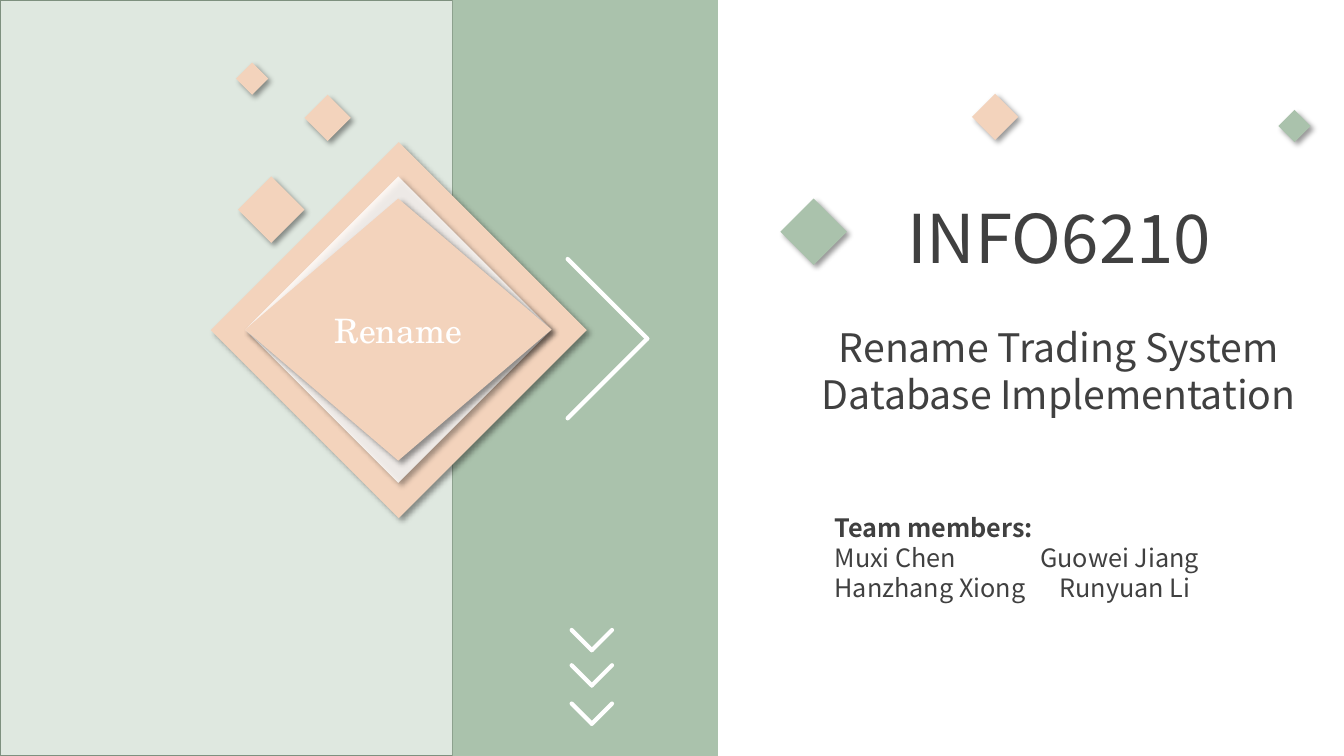
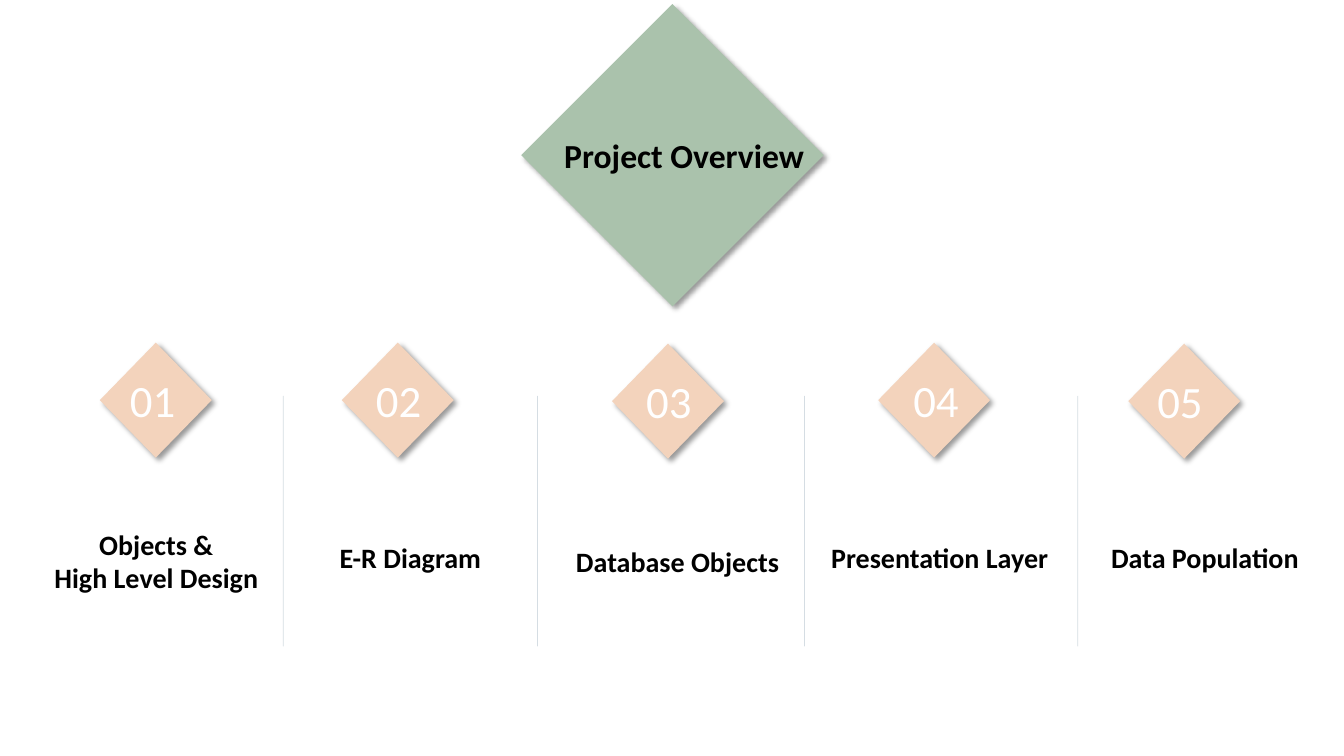
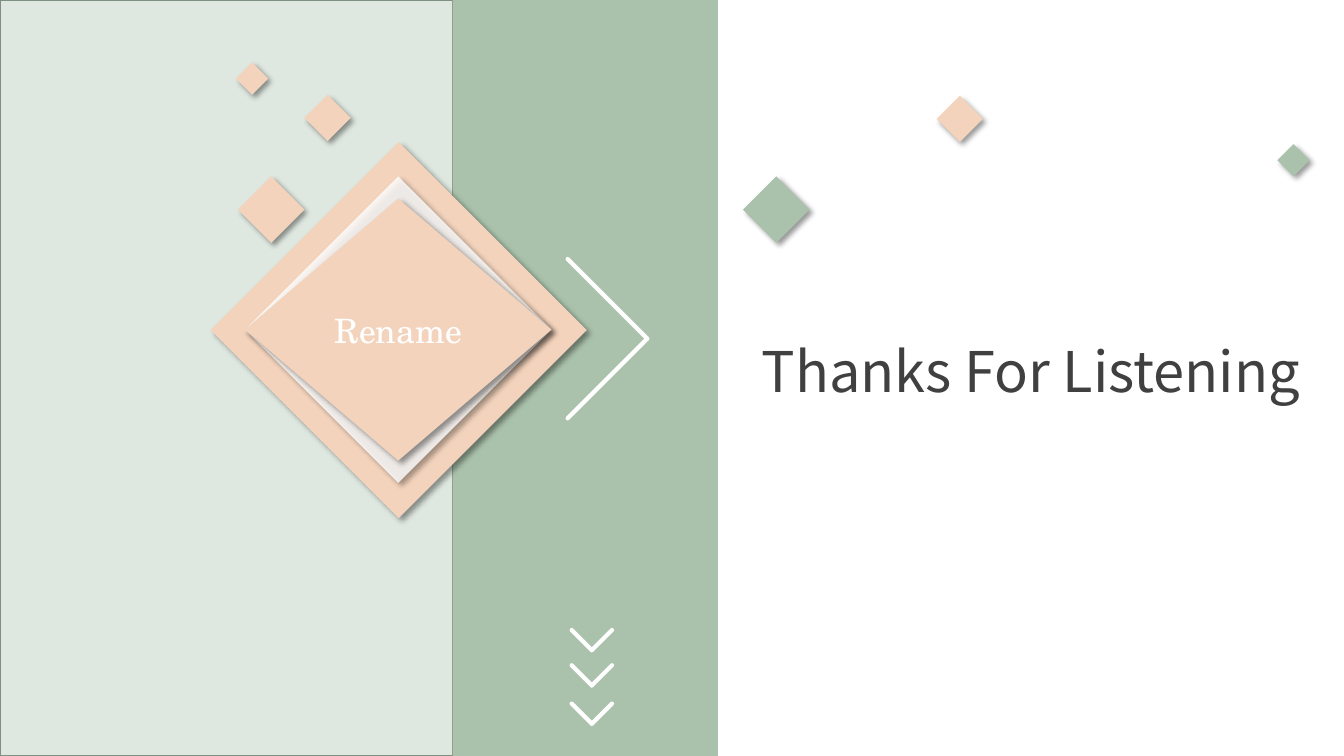
from dataclasses import dataclass

from lxml.etree import SubElement
from pptx import Presentation
from pptx.dml.color import RGBColor
from pptx.enum.shapes import MSO_CONNECTOR, MSO_SHAPE
from pptx.enum.text import MSO_ANCHOR, PP_ALIGN
from pptx.oxml.ns import qn
from pptx.util import Emu, Pt

EMU_PER_PX = 9144  # 100 px to the inch


@dataclass(frozen=True)
class Theme:
    sage: str = "AAC2AC"
    sage_edge: str = "7E907F"
    peach: str = "F3D3BC"
    white: str = "FFFFFF"
    ink: str = "404040"
    black: str = "000000"
    navy: str = "093759"
    sans: str = "Noto Sans CJK SC"
    serif: str = "TeX Gyre Schola"
    body: str = "Calibri"
    course: int = 48
    closing: int = 40
    number: int = 32
    subtitle: int = 28
    heading: int = 24
    caption: int = 20
    small: int = 18


THEME = Theme()


def px(length):
    return Emu(round(length * EMU_PER_PX))


def set_alpha(parent, percent):
    """Make the solid colour inside an XML element see-through."""
    color = next(parent.iter(qn("a:srgbClr")))
    SubElement(color, qn("a:alpha"), val=str(percent * 1000))


def write(frame, text, *, size, color, font=THEME.body, bold=False,
          align=PP_ALIGN.LEFT, leading=None, tab=None):
    """Add each line of text as a paragraph; leading is a multiple of size."""
    for line in text.split("\n"):
        para = frame.paragraphs[0]
        if para.runs:
            para = frame.add_paragraph()
        para.alignment = align
        if leading:
            para.line_spacing = Pt(round(size * leading, 1))
        if tab:
            stops = SubElement(para._p.get_or_add_pPr(), qn("a:tabLst"))
            SubElement(stops, qn("a:tab"), pos=str(px(tab)), algn="l")
        span = para.add_run()
        span.text = line
        span.font.name = font
        span.font.size = Pt(size)
        span.font.bold = bold
        span.font.color.rgb = RGBColor.from_string(color)


class DeckBuilder:
    def __init__(self, theme):
        self.theme = theme
        self.deck = Presentation()
        self.deck.slide_width, self.deck.slide_height = px(1333), px(750)
        self.page = None

    def new_page(self):
        self.page = self.deck.slides.add_slide(self.deck.slide_layouts[6])

    def shape(self, preset, left, top, width, height, fill, *, alpha=None, edge=None):
        shape = self.page.shapes.add_shape(
            preset, px(left), px(top), px(width), px(height))
        shape.shadow.inherit = False
        shape.fill.solid()
        shape.fill.fore_color.rgb = RGBColor.from_string(fill)
        if alpha:
            set_alpha(shape._element.spPr.find(qn("a:solidFill")), alpha)
        if edge:
            shape.line.color.rgb = RGBColor.from_string(edge)
            shape.line.width = Pt(1)
        else:
            shape.line.fill.background()
        return shape

    def diamond(self, left, top, width, height, fill, *, alpha=None):
        """Draw a diamond with the soft lower-right shadow of the deck."""
        diamond = self.shape(MSO_SHAPE.DIAMOND, left, top, width, height, fill, alpha=alpha)
        effects = diamond._element.spPr.find(qn("a:effectLst"))
        shadow = SubElement(effects, qn("a:outerShdw"), blurRad=str(Pt(4)), dist=str(Pt(3)),
                            dir="2700000", algn="tl", rotWithShape="0")
        SubElement(shadow, qn("a:srgbClr"), val=self.theme.black)
        set_alpha(shadow, 40)
        return diamond

    def line(self, start, end, color, width, *, alpha=None):
        line = self.page.shapes.add_connector(
            MSO_CONNECTOR.STRAIGHT, *(px(value) for value in (*start, *end)))
        line.line.color.rgb = RGBColor.from_string(color)
        line.line.width = Pt(width)
        properties = line._element.spPr
        outline = properties.find(qn("a:ln"))
        outline.set("cap", "rnd")
        if alpha:
            set_alpha(outline, alpha)
        SubElement(properties, qn("a:effectLst"))

    def chevron(self, start, tip, end):
        for outer in (start, end):
            self.line(outer, tip, self.theme.white, 3)

    def text(self, left, top, width, height, text, **style):
        box = self.page.shapes.add_textbox(px(left), px(top), px(width), px(height))
        box.text_frame.word_wrap = True
        write(box.text_frame, text, **style)
        return box.text_frame

    def cover_panel(self):
        """Draw the green left half shared by the first and last slides."""
        theme = self.theme
        self.shape(MSO_SHAPE.RECTANGLE, 0, 0, 449, 750, theme.sage,
                   alpha=37, edge=theme.sage_edge)
        self.shape(MSO_SHAPE.RECTANGLE, 449, 0, 263, 750, theme.sage)
        self.diamond(209, 141, 373, 373, theme.peach)
        self.diamond(243, 175, 304, 304, theme.white, alpha=81)
        badge = self.diamond(243, 197, 304, 260, theme.peach).text_frame
        badge.vertical_anchor = MSO_ANCHOR.MIDDLE
        write(badge, "Rename", size=theme.heading, color=theme.white,
              font=theme.serif, align=PP_ALIGN.CENTER)
        for left, top, side in ((236, 175, 66), (302, 94, 46), (234, 62, 32)):
            self.diamond(left, top, side, side, theme.peach)
        self.chevron((563, 415), (642, 336), (563, 257))
        for top in (625, 660, 698):
            self.chevron((567, top), (587, top + 20), (607, top))

    def accents(self, large, medium, small):
        """Scatter three diamonds, given by their left and top, on the right half."""
        theme = self.theme
        for spot, side, fill in ((large, 66, theme.sage), (medium, 46, theme.peach),
                                 (small, 32, theme.sage)):
            self.diamond(*spot, side, side, fill)


def build_title(builder):
    theme = builder.theme
    style = dict(color=theme.ink, font=theme.sans, leading=1.2)
    builder.new_page()
    builder.cover_panel()
    builder.accents((774, 197), (964, 93), (1268, 109))
    builder.text(890, 190, 440, 91, "INFO6210", size=theme.course, **style)
    builder.text(791, 316, 518, 104, "Rename Trading System\nDatabase Implementation",
                 size=theme.subtitle, align=PP_ALIGN.CENTER, **style)
    team = builder.text(818, 503, 463, 101, "Team members:",
                        size=theme.small, bold=True, **style)
    for names, tab in (("Muxi Chen\tGuowei Jiang", 204), ("Hanzhang Xiong\tRunyuan Li", 223)):
        write(team, names, size=theme.small, tab=tab, **style)


def build_overview(builder):
    theme = builder.theme
    heading = dict(color=theme.black, bold=True, align=PP_ALIGN.CENTER)
    builder.new_page()
    builder.diamond(517, 4, 300, 300, theme.sage)
    builder.text(541, 129, 275, 50, "Project Overview", size=theme.heading, **heading)
    for x in (281, 533, 798, 1069):
        builder.line((x, 393), (x, 641), theme.navy, 0.5, alpha=17)
    # diamond left and top, number left, caption left and top, caption
    topics = (
        (99, 340, 119, 29, 518, "Objects &\nHigh Level Design"),
        (339, 340, 363, 281, 531, "E-R Diagram"),
        (607, 341, 631, 546, 535, "Database Objects"),
        (871, 340, 896, 806, 531, "Presentation Layer"),
        (1119, 341, 1138, 1069, 531, "Data Population"),
    )
    for index, topic in enumerate(topics, 1):
        left, top, number_left, caption_left, caption_top, caption = topic
        builder.diamond(left, top, 111, 114, theme.peach)
        builder.text(number_left, top + 25, 72, 64, f"{index:02}",
                     size=theme.number, color=theme.white)
        builder.text(caption_left, caption_top, 252, 44, caption,
                     size=theme.caption, **heading)


def build_closing(builder):
    theme = builder.theme
    builder.new_page()
    builder.cover_panel()
    builder.accents((737, 175), (929, 95), (1267, 143))
    builder.text(712, 329, 621, 77, "Thanks For Listening", size=theme.closing,
                 color=theme.ink, font=theme.sans, align=PP_ALIGN.CENTER, leading=1.2)


def main():
    builder = DeckBuilder(THEME)
    build_title(builder)
    build_overview(builder)
    build_closing(builder)
    builder.deck.save("out.pptx")


if __name__ == "__main__":
    main()
